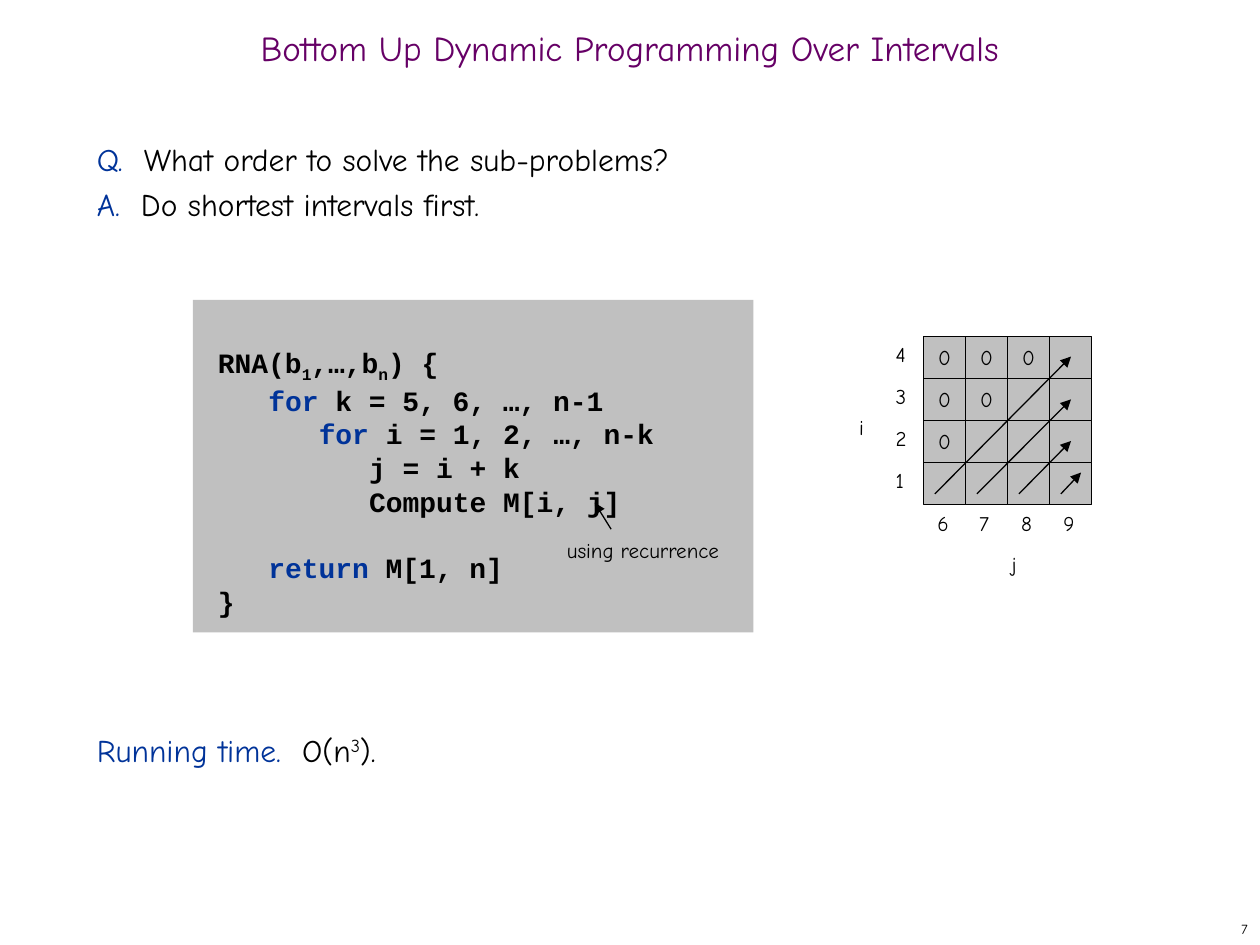
from lxml.etree import SubElement
from pptx import Presentation
from pptx.dml.color import RGBColor
from pptx.enum.shapes import MSO_CONNECTOR, MSO_SHAPE
from pptx.enum.text import MSO_ANCHOR as Anchor, PP_ALIGN as Align
from pptx.oxml.ns import qn
from pptx.util import Inches, Pt

BLACK, BLUE, PURPLE, GRAY = "000000", "003399", "660066", "C0C0C0"
HAND, MONO = "Comic Neue", "Courier New"

TITLE = "Bottom Up Dynamic Programming Over Intervals"
QUESTIONS = [
    [("Q.  ", BLUE), ("What order to solve the sub-problems?", BLACK)],
    [("A.  ", BLUE), ("Do shortest intervals first.", BLACK)],
]
RUNNING_TIME = [[("Running time.  ", BLUE), ("O(n", BLACK), ("3", BLACK, 30), (").", BLACK)]]
CODE = [
    (0, [("RNA(b", BLACK), ("1", BLACK, -25), (",…,b", BLACK), ("n", BLACK, -25), (") {", BLACK)]),
    (1, [("for", BLUE), (" k = 5, 6, …, n-1", BLACK)]),
    (2, [("for", BLUE), (" i = 1, 2, …, n-k", BLACK)]),
    (3, [("j = i + k", BLACK)]),
    (3, [("Compute M[i, j]", BLACK)]),
    (1, [("return", BLUE), (" M[1, n]", BLACK)]),
    (0, [("}", BLACK)]),
]
RETURN_LINE = 5
CODE_INDENT = 0.4
ROW_LABELS = ["4", "3", "2", "1"]
COLUMN_LABELS = ["6", "7", "8", "9"]
ZEROS_PER_ROW = [3, 2, 1, 0]
GRID_LEFT, GRID_TOP, CELL = 7.33, 2.67, 1 / 3
ARROW_BOTTOM = 3.92
ARROW_TIPS = [(8.5, 2.83), (8.5, 3.17), (8.5, 3.5), (8.58, 3.75)]


def color(value):
    return RGBColor.from_string(value)


def write(frame, lines, size, font=HAND, align=Align.LEFT, bold=False):
    for index, runs in enumerate(lines):
        para = frame.paragraphs[0] if index == 0 else frame.add_paragraph()
        para.alignment = align
        for text, tint, *baseline in runs:
            span = para.add_run()
            span.text = text
            span.font.name = font
            span.font.size = Pt(size)
            span.font.bold = bold
            span.font.color.rgb = color(tint)
            if baseline:
                span.font._element.set("baseline", str(baseline[0] * 1000))


def add_text(page, place, lines, size, align=Align.LEFT, anchor=Anchor.TOP, wrap=True):
    box = page.shapes.add_textbox(*map(Inches, place))
    frame = box.text_frame
    frame.word_wrap = wrap
    frame.vertical_anchor = anchor
    write(frame, lines, size, align=align)
    return frame


def add_label(page, left, top, text, width=0.29):
    add_text(page, (left, top, width, 0.3), [[(text, BLACK)]], 12, wrap=False)


def add_box(page, place):
    box = page.shapes.add_shape(MSO_SHAPE.RECTANGLE, *map(Inches, place))
    box.shadow.inherit = False
    box.fill.solid()
    box.fill.fore_color.rgb = color(GRAY)
    box.line.fill.background()
    return box


def add_arrow(page, start, end):
    arrow = page.shapes.add_connector(MSO_CONNECTOR.STRAIGHT, *map(Inches, start + end))
    arrow.line.color.rgb = color(BLACK)
    arrow.line.width = Pt(0.75)
    SubElement(arrow.line._get_or_add_ln(), qn("a:tailEnd"), type="triangle", w="med", len="med")
    SubElement(arrow._element.spPr, qn("a:effectLst"))


def add_code(page):
    box = add_box(page, (1.53, 2.38, 4.45, 2.64))
    frame = box.text_frame
    frame.word_wrap = True
    frame.vertical_anchor = Anchor.TOP
    frame.margin_left, frame.margin_right = Inches(0.2), Inches(0.15)
    frame.margin_top, frame.margin_bottom = Inches(0.36), Inches(0.1)
    write(frame, [runs for _, runs in CODE], 16, MONO, bold=True)
    for para, (level, _) in zip(frame.paragraphs, CODE):
        properties = para._p.get_or_add_pPr()
        properties.set("marL", str(Inches(CODE_INDENT * level)))
        properties.set("indent", "0")
    frame.paragraphs[RETURN_LINE].space_before = Pt(19)
    add_arrow(page, (4.85, 4.2), (4.72, 3.99))
    add_label(page, 4.4, 4.22, "using recurrence", 1.42)


def add_grid(page):
    for row, zeros in enumerate(ZEROS_PER_ROW):
        for column in range(len(COLUMN_LABELS)):
            cell = add_box(page, (GRID_LEFT + column * CELL, GRID_TOP + row * CELL, CELL, CELL))
            cell.line.color.rgb = color(BLACK)
            cell.line.width = Pt(0.75)
            if column < zeros:
                cell.text_frame.word_wrap = False
                cell.text_frame.vertical_anchor = Anchor.MIDDLE
                write(cell.text_frame, [[("0", BLACK)]], 12, align=Align.CENTER)
    for column, tip in enumerate(ARROW_TIPS):
        add_arrow(page, (GRID_LEFT + 0.09 + column * CELL, ARROW_BOTTOM), tip)
    for row, text in enumerate(ROW_LABELS):
        add_label(page, 7.01, 2.66 + row * CELL, text)
    for column, text in enumerate(COLUMN_LABELS):
        add_label(page, 7.34 + column * CELL, 4, text)
    add_label(page, 6.72, 3.24, "i", 0.24)
    add_label(page, 7.93, 4.33, "j", 0.24)


def main():
    deck = Presentation()
    deck.slide_width, deck.slide_height = Inches(10), Inches(7.5)
    page = deck.slides.add_slide(deck.slide_layouts[6])
    add_text(page, (7.92, 7.25, 2.08, 0.25), [[("7", BLACK)]], 8, Align.RIGHT, Anchor.MIDDLE)
    title = add_text(page, (0, 0.17, 10, 0.5), [[(TITLE, PURPLE)]], 20, Align.CENTER, Anchor.MIDDLE)
    title.paragraphs[0].line_spacing = 0.7
    for top, height, lines in [(1, 0.82, QUESTIONS), (5.69, 0.46, RUNNING_TIME)]:
        frame = add_text(page, (0.67, top, 8.58, height), lines, 18)
        for para in frame.paragraphs:
            para.line_spacing = Pt(26)
    add_code(page)
    add_grid(page)
    deck.save("out.pptx")


if __name__ == "__main__":
    main()
